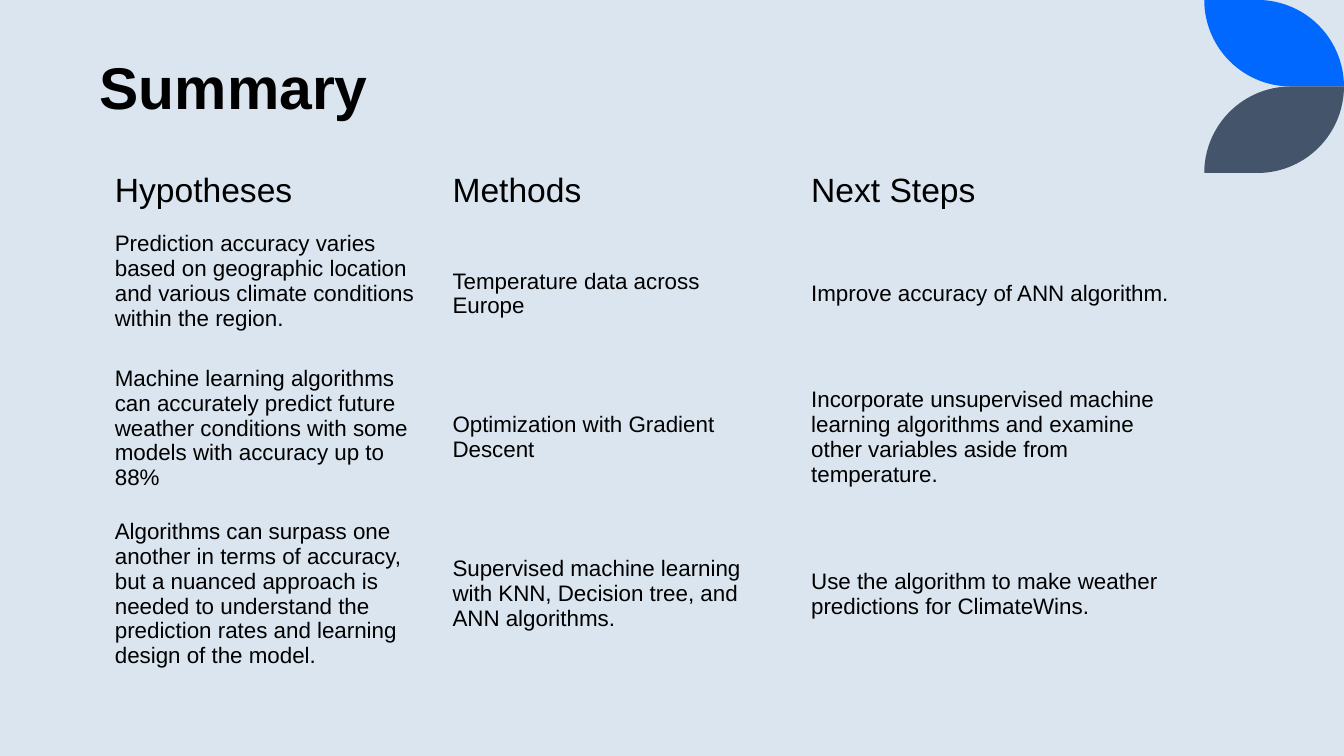
import math
import pptx
import pptx.dml.color
import pptx.enum.text
import pptx.oxml.ns
import pptx.util

Cm = pptx.util.Cm
HEADS = ["Hypotheses", "Methods", "", "Next Steps"]
ROWS = [
    ["Prediction accuracy varies based on geographic location and various climate conditions within the region.",
     "Temperature data across Europe", "",
     "Improve accuracy of ANN algorithm."],
    ["Machine learning algorithms can accurately predict future weather conditions with some models "
     "with accuracy up to 88%",
     "Optimization with Gradient Descent", "",
     "Incorporate unsupervised machine learning algorithms and examine other variables aside from temperature."],
    ["Algorithms can surpass one another in terms of accuracy, but a nuanced approach is needed to understand "
     "the prediction rates and learning design of the model.",
     "Supervised machine learning with KNN, Decision tree, and ANN algorithms.", "",
     "Use the algorithm to make weather predictions for ClimateWins."],
]
WIDTHS = [8.51, 8.43, 0.58, 9.98]
HEIGHTS = [1.8, 3.38, 3.86, 4.02]
LIFTS = [0, 0.62, 0.46, 0]


def paint(fill, color):
    fill.solid()
    fill.fore_color.rgb = pptx.dml.color.RGBColor.from_string(color)


def write(frame, text, size=16, bold=False, space=1.0):
    frame.word_wrap = True
    para = frame.paragraphs[0]
    para.alignment = pptx.enum.text.PP_ALIGN.LEFT
    para.line_spacing = space
    run = para.add_run()
    run.text = text
    run.font.name = "Arial"
    run.font.size = pptx.util.Pt(size)
    run.font.bold = bold
    paint(run.font.fill, "000000")


def add_title(slide, text):
    title = slide.shapes.title
    title.left, title.top = Cm(2.26), Cm(1.3)
    title.width, title.height = Cm(27.15), Cm(1.88)
    title.text_frame.auto_size = pptx.enum.text.MSO_AUTO_SIZE.NONE
    title.text_frame.vertical_anchor = pptx.enum.text.MSO_ANCHOR.BOTTOM
    write(title.text_frame, text, size=42, bold=True, space=0.8)


def add_leaf(slide, color, flip):
    """Draw a leaf from two quarter circles, mirrored downward if flip is true."""
    left, right, rad = 30.35, 33.87, 2.18
    points = [(left, 0)]
    for mid, base, start in ((right - rad, rad, -90), (left + rad, 0, 90)):
        for step in range(31):
            turn = math.radians(start + 3 * step)
            points.append((mid + rad * math.cos(turn), base + rad * math.sin(turn)))
    spots = [(Cm(x), Cm(2 * rad - y if flip else y)) for x, y in points]
    pen = slide.shapes.build_freeform(*spots[0])
    pen.add_line_segments(spots[1:])
    leaf = pen.convert_to_shape()
    leaf.shadow.inherit = False
    leaf.line.fill.background()
    paint(leaf.fill, color)


def add_grid(slide):
    rows = [HEADS] + ROWS
    frame = slide.shapes.add_table(len(rows), len(WIDTHS), Cm(2.64), Cm(3.91),
                                   Cm(sum(WIDTHS)), Cm(sum(HEIGHTS)))
    grid = frame.table
    grid.first_row = grid.horz_banding = False
    style = next(frame.element.iter(pptx.oxml.ns.qn("a:tableStyleId")))
    style.text = "{2D5ABB26-0587-4C30-8999-92F81FD0307C}"
    for col, width in zip(grid.columns, WIDTHS):
        col.width = Cm(width)
    for r, texts in enumerate(rows):
        grid.rows[r].height = Cm(HEIGHTS[r])
        for c, text in enumerate(texts):
            cell = grid.cell(r, c)
            cell.fill.background()
            cell.vertical_anchor = pptx.enum.text.MSO_ANCHOR.MIDDLE
            if c == 0:
                cell.margin_bottom = Cm(0.13 + LIFTS[r])
            if text:
                write(cell.text_frame, text, size=16 if r else 24)


def main():
    deck = pptx.Presentation()
    deck.slide_width, deck.slide_height = Cm(33.87), Cm(19.05)
    slide = deck.slides.add_slide(deck.slide_layouts[5])
    paint(slide.background.fill, "DAE5EF")
    add_leaf(slide, "0068FF", False)
    add_leaf(slide, "44546A", True)
    add_title(slide, "Summary")
    add_grid(slide)
    deck.save("out.pptx")


if __name__ == "__main__":
    main()
